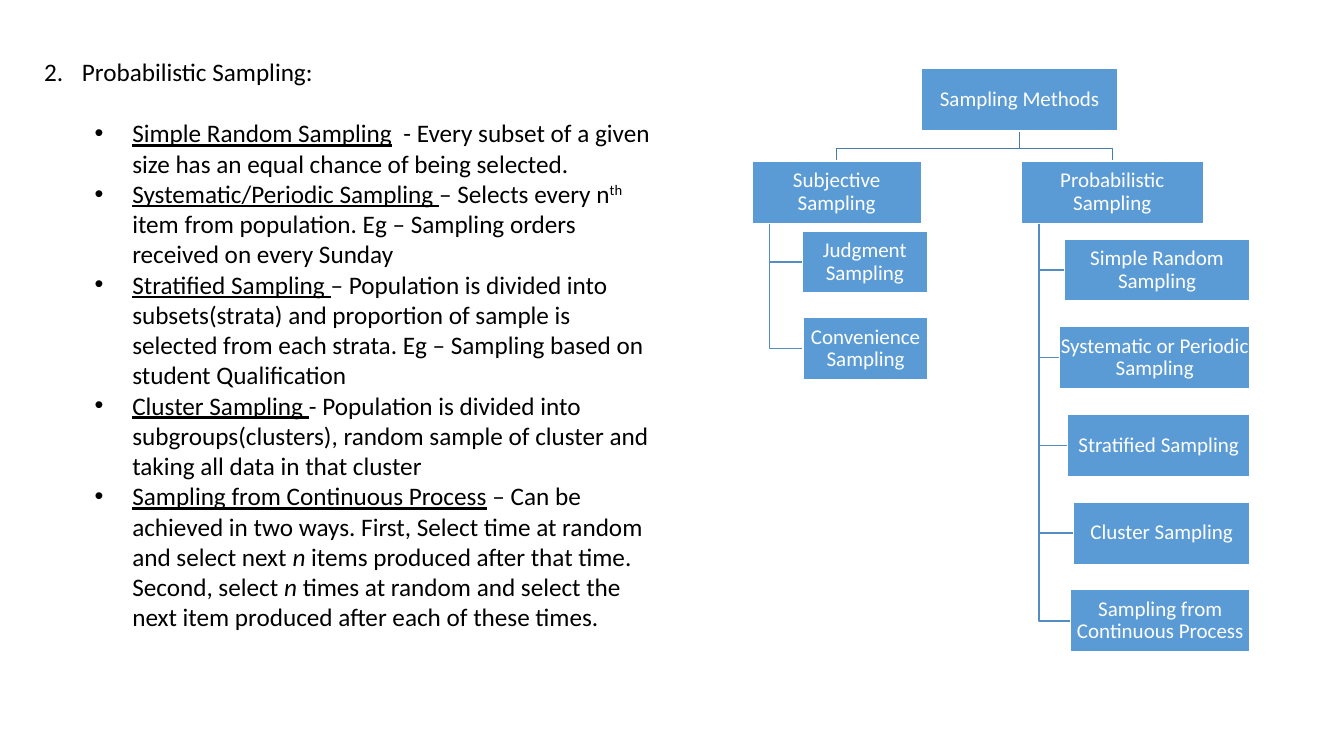
from dataclasses import dataclass

from lxml import etree
from pptx import Presentation
from pptx.dml.color import RGBColor
from pptx.enum.shapes import MSO_SHAPE
from pptx.enum.text import MSO_ANCHOR, MSO_AUTO_SIZE, PP_ALIGN
from pptx.oxml.ns import qn
from pptx.util import Cm, Pt

RECT = MSO_SHAPE.RECTANGLE
TOP, MIDDLE = MSO_ANCHOR.TOP, MSO_ANCHOR.MIDDLE
LEFT, CENTER = PP_ALIGN.LEFT, PP_ALIGN.CENTER
NO_FIT = MSO_AUTO_SIZE.NONE


@dataclass(frozen=True)
class Theme:
    font: str = "Calibri"
    ink: RGBColor = RGBColor(0, 0, 0)
    white: RGBColor = RGBColor(255, 255, 255)
    fill: RGBColor = RGBColor.from_string("5B9BD5")
    trunk: RGBColor = RGBColor.from_string("497CAB")
    twig: RGBColor = RGBColor.from_string("538DC1")
    text: Pt = Pt(18)
    label: Pt = Pt(15)
    line: Pt = Pt(1)


THEME = Theme()

HEADING = "Probabilistic Sampling:"
# Run styles: u underlined, i italic, ^ superscript
POINTS = [
    [("Simple Random Sampling", "u"),
     ("  - Every subset of a given size has an equal chance of being selected.", "")],
    [("Systematic/Periodic Sampling ", "u"), ("– Selects every n", ""), ("th", "^"),
     (" item from population. Eg – Sampling orders received on every Sunday", "")],
    [("Stratified Sampling ", "u"),
     ("– Population is divided into subsets(strata) and proportion of sample is "
      "selected from each strata. Eg – Sampling based on student Qualification", "")],
    [("Cluster Sampling ", "u"),
     ("- Population is divided into subgroups(clusters), random sample of cluster "
      "and taking all data in that cluster", "")],
    [("Sampling from Continuous Process", "u"),
     (" – Can be achieved in two ways. First, Select time at random and select next ", ""),
     ("n ", "i"), ("items produced after that time. Second, select ", ""), ("n ", "i"),
     ("times at random and select the next item produced after each of these times.", "")],
]

# Leaves: label, left edge in the chart, width (cm)
SUBJECTIVE = [("Judgment Sampling", 1.27, 3.15), ("Convenience Sampling", 1.29, 3.15)]
PROBABLE = [("Simple Random Sampling", 7.87, 4.68),
            ("Systematic or Periodic Sampling", 7.75, 4.8),
            ("Stratified Sampling", 7.95, 4.6),
            ("Cluster Sampling", 8.1, 4.45),
            ("Sampling from Continuous Process", 8.03, 4.52)]
NODE_H = 1.57
STEM = 0.45


def style(run, size, color):
    run.font.name = THEME.font
    run.font.size = size
    run.font.color.rgb = color


def place(holder, left, top, width, height):
    holder.left, holder.top = Cm(left), Cm(top)
    holder.width, holder.height = Cm(width), Cm(height)
    frame = holder.text_frame
    frame.word_wrap = True
    frame.auto_size = NO_FIT
    frame.vertical_anchor = TOP
    return frame


def mark(para, indent, face, tag, **attrs):
    """Give a paragraph a hanging bullet or number."""
    para.alignment = LEFT
    para.space_before = Pt(0)
    props = para._p.get_or_add_pPr()
    props.set("marL", str(Cm(indent)))
    props.set("indent", str(Cm(-0.95)))
    etree.SubElement(props, qn("a:buFont"), typeface=face)
    etree.SubElement(props, qn(tag), **attrs)


def notes(slide, left, top, width, height):
    """Numbered heading with its bullet list, one blank line apart."""
    frame = place(slide.shapes.title, left, top, width, 1.05)
    frame.text = HEADING
    mark(frame.paragraphs[0], 0.95, "+mj-lt", "a:buAutoNum",
         type="arabicPeriod", startAt="2")
    style(frame.paragraphs[0].runs[0], THEME.text, THEME.ink)

    gap = 1.54
    frame = place(slide.placeholders[1], left, top + gap, width, height - gap)
    for i, parts in enumerate(POINTS):
        para = frame.add_paragraph() if i else frame.paragraphs[0]
        para.level = 1
        mark(para, 2.22, "Arial", "a:buChar", char="•")
        for text, look in parts:
            run = para.add_run()
            run.text = text
            style(run, THEME.text, THEME.ink)
            run.font.underline = look == "u"
            run.font.italic = look == "i"
            if look == "^":
                run._r.get_or_add_rPr().set("baseline", "30000")


def node(slide, text, left, top, width):
    box = slide.shapes.add_shape(RECT, Cm(left), Cm(top), Cm(width), Cm(NODE_H))
    box.shadow.inherit = False
    box.fill.solid()
    box.fill.fore_color.rgb = THEME.fill
    box.line.color.rgb = THEME.white
    box.line.width = THEME.line
    frame = box.text_frame
    frame.margin_left = frame.margin_right = Cm(0.03)
    frame.margin_top = frame.margin_bottom = Cm(0.03)
    frame.word_wrap = True
    frame.vertical_anchor = MIDDLE
    frame.text = text
    para = frame.paragraphs[0]
    para.alignment = CENTER
    para.line_spacing = 0.9
    style(para.runs[0], THEME.label, THEME.white)


def path(slide, color, *points):
    spots = [(Cm(x), Cm(y)) for x, y in points]
    pen = slide.shapes.build_freeform(*spots[0])
    pen.add_line_segments(spots[1:], close=False)
    line = pen.convert_to_shape()
    line.shadow.inherit = False
    line.fill.background()
    line.line.color.rgb = color
    line.line.width = THEME.line


def branch(slide, text, left, top, width, leaves, base, first, step):
    """Parent node with leaves hung from a stem near its left edge."""
    stem = left + STEM
    for i, (label, x, wide) in enumerate(leaves):
        y = first + i * step
        mid = y + NODE_H / 2
        path(slide, THEME.twig, (stem, top + NODE_H), (stem, mid), (base + x, mid))
        node(slide, label, base + x, y, wide)
    node(slide, text, left, top, width)


def chart(slide, left, top):
    """Tree of sampling methods."""
    root, root_w = left + 4.27, 4.95
    second = top + 2.33
    kids = [("Subjective Sampling", left, 4.27, SUBJECTIVE, 4.09, 2.18),
            ("Probabilistic Sampling", left + 6.78, 4.6, PROBABLE, 4.29, 2.21)]
    stem, foot = root + root_w / 2, top + NODE_H
    for text, x, wide, leaves, first, step in kids:
        mid = x + wide / 2
        path(slide, THEME.trunk, (stem, foot), (stem, foot + STEM),
             (mid, foot + STEM), (mid, second))
        branch(slide, text, x, second, wide, leaves, left, top + first, step)
    node(slide, "Sampling Methods", root, top, root_w)


def main():
    deck = Presentation()
    deck.slide_width, deck.slide_height = Cm(33.87), Cm(19.05)
    slide = deck.slides.add_slide(deck.slide_layouts[1])
    notes(slide, 0.86, 1.3, 16.03, 16.4)
    chart(slide, 18.95, 1.73)
    deck.save("out.pptx")


if __name__ == "__main__":
    main()
